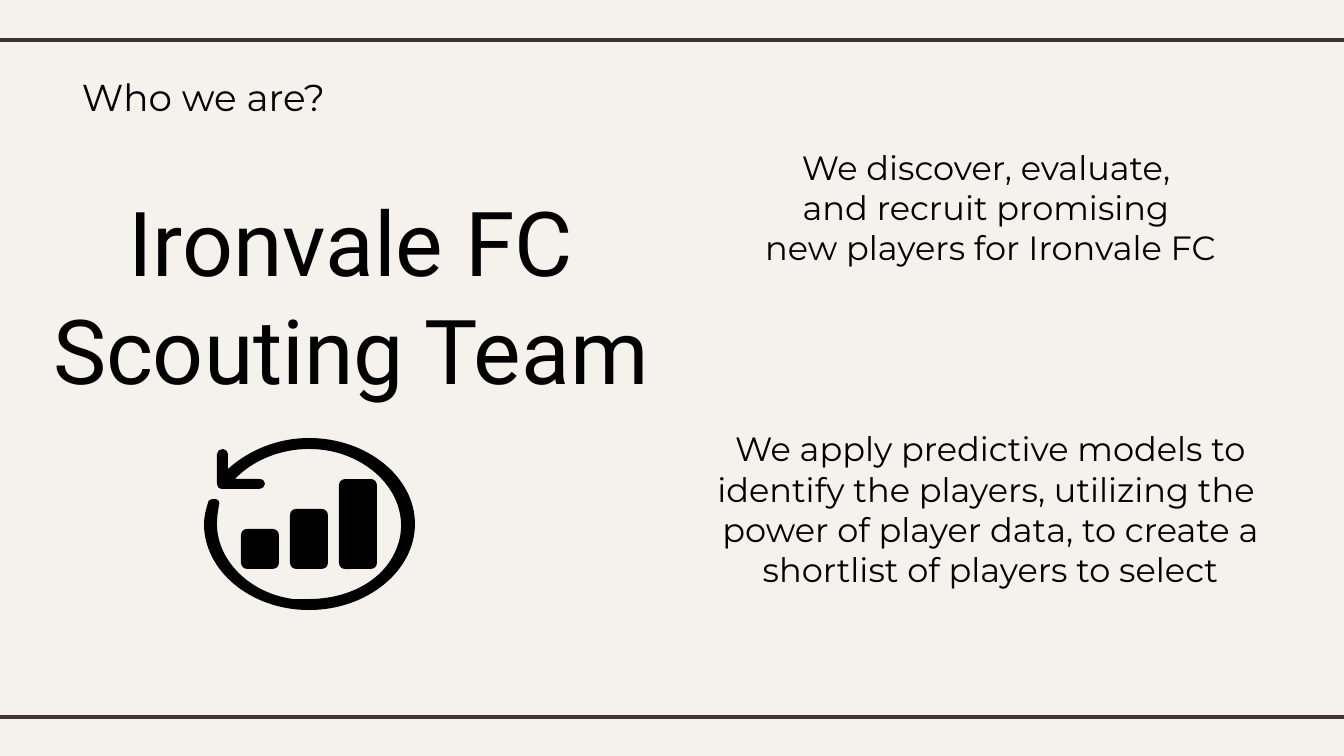
from pptx import Presentation
from pptx.dml.color import RGBColor
from pptx.enum.shapes import MSO_CONNECTOR, MSO_SHAPE
from pptx.enum.text import MSO_ANCHOR, MSO_AUTO_SIZE, PP_ALIGN
from pptx.oxml.ns import qn
from pptx.util import Emu, Inches, Pt
from lxml.etree import SubElement

CREAM = RGBColor(0xF5, 0xF2, 0xEE)
BROWN = RGBColor(0x3F, 0x35, 0x33)
BLACK = RGBColor(0, 0, 0)
INSET = Inches(0.1)


def px(n):
    return Emu(round(n * 914400 / 134.4))


def write(sp, lines, font, size):
    tf = sp.text_frame
    tf.word_wrap = True
    tf.auto_size = MSO_AUTO_SIZE.NONE
    tf.vertical_anchor = MSO_ANCHOR.TOP
    tf.margin_left = tf.margin_right = tf.margin_top = tf.margin_bottom = INSET
    tf.text = "\n".join(lines)
    for p in tf.paragraphs:
        p.alignment = PP_ALIGN.CENTER
        p.font.name = font
        p.font.size = Pt(size)
        p.font.color.rgb = BLACK


prs = Presentation()
prs.slide_width, prs.slide_height = px(1344), px(756)
s = prs.slides.add_slide(prs.slide_layouts[5])
s.background.fill.solid()
s.background.fill.fore_color.rgb = CREAM

for y in (40, 717):
    rule = s.shapes.add_connector(MSO_CONNECTOR.STRAIGHT, px(-11), px(y), px(1355), px(y))
    rule.line.color.rgb = BROWN
    rule.line.width = Pt(2.25)
    SubElement(rule._element.spPr, qn("a:effectLst"))

title = s.shapes.title
title.left, title.top, title.width, title.height = px(30), px(174), px(642), px(190)
write(title, ["Ironvale FC Scouting Team"], "Roboto", 48)

mission = s.shapes.add_textbox(px(655), px(133), px(671), px(82))
write(mission, [
    "We discover, evaluate, ",
    "and recruit promising ",
    "new players for Ironvale FC",
    "We apply predictive models to identify the players, utilizing the ",
    "power of player data, to create a shortlist of players to select",
], "Montserrat", 18)
mission.text_frame.paragraphs[3].space_before = px(161)

question = s.shapes.add_textbox(px(32), px(61), px(343), px(82))
write(question, ["Who we are?"], "Montserrat", 20)

left, top = 204, 438
start = (309, 438)
segments = [
    (278, 438, 249, 450, 228, 469),
    (228, 454),
    (228, 452, 226, 449, 223, 449),
    (220, 449, 217, 451, 217, 454),
    (217, 484),
    (217, 487, 219, 489, 223, 489),
    (259, 489),
    (267, 488, 267, 479, 259, 479),
    (235, 479),
    (253, 460, 281, 449, 309, 449),
    (324, 449, 339, 452, 352, 458),
    (392, 476, 411, 515, 396, 550),
    (383, 581, 348, 599, 309, 599),
    (304, 599, 298, 599, 293, 599),
    (249, 593, 217, 560, 217, 524),
    (217, 517, 218, 511, 219, 505),
    (220, 503, 219, 499, 215, 499),
    (211, 499, 208, 500, 208, 503),
    (206, 509, 204, 517, 204, 524),
    (204, 571, 251, 610, 309, 610),
    (367, 610, 415, 571, 415, 524),
    (415, 477, 367, 438, 309, 438),
]
icon = s.shapes.add_group_shape()
builder = icon.shapes.build_freeform(*start, scale=px(1))
builder.add_line_segments([seg[-2:] for seg in segments], close=True)
ring = builder.convert_to_shape()
for step, seg in zip(list(ring._element.iter(qn("a:lnTo"))), segments):
    if len(seg) == 6:
        step.tag = qn("a:cubicBezTo")
        end = step[0]
        for x, y in (seg[:2], seg[2:4]):
            pt = SubElement(step, qn("a:pt"), x=str(x - left), y=str(y - top))
            end.addprevious(pt)

for i, height in enumerate((40, 60, 90)):
    bar = icon.shapes.add_shape(
        MSO_SHAPE.ROUNDED_RECTANGLE, px(241 + 49 * i), px(569 - height), px(38), px(height))
    bar.adjustments[0] = 6 / min(38, height)

for sp in icon.shapes:
    sp.shadow.inherit = False
    sp.fill.solid()
    sp.fill.fore_color.rgb = BLACK
    sp.line.fill.background()

prs.save("out.pptx")
